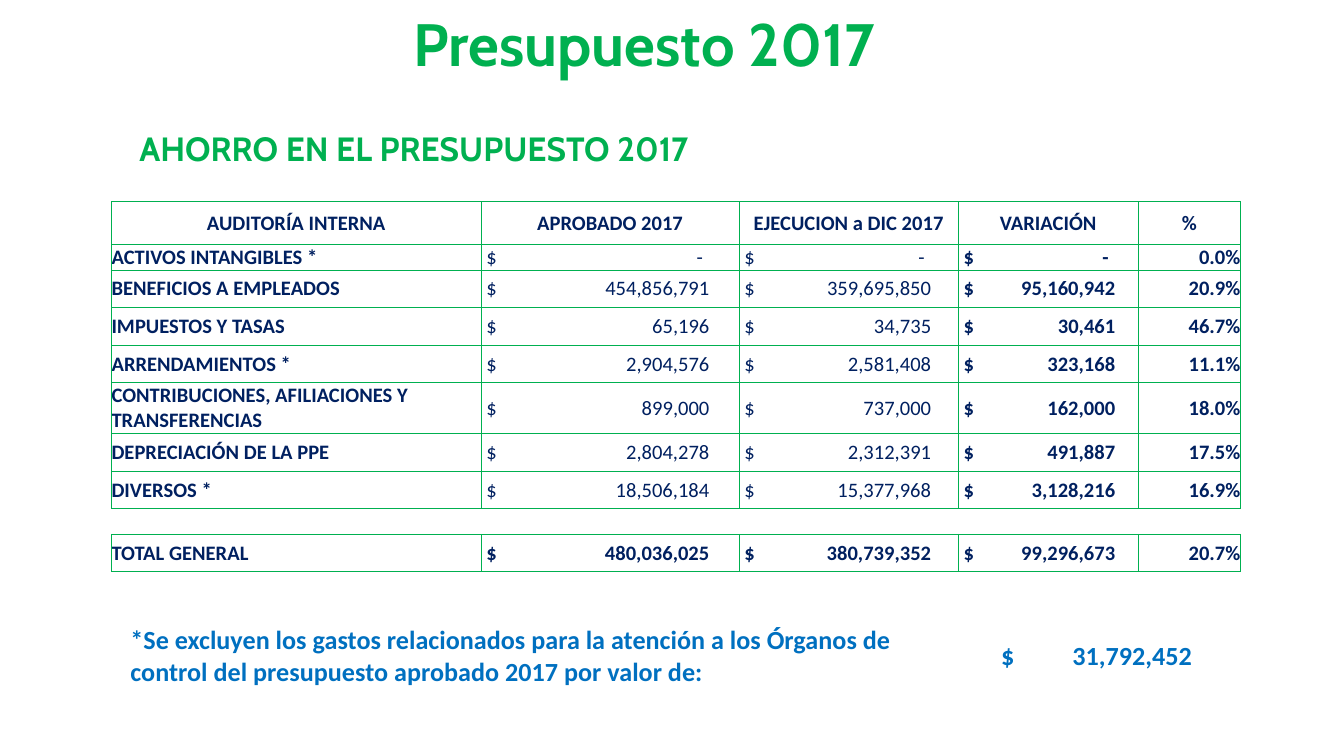
from lxml.etree import SubElement
from pptx import Presentation
from pptx.dml.color import RGBColor
from pptx.enum.text import MSO_ANCHOR as Anchor, MSO_AUTO_SIZE as AutoSize, PP_ALIGN as Align
from pptx.oxml.ns import qn
from pptx.util import Inches, Pt

GREEN = RGBColor(0x00, 0xB0, 0x50)
NAVY = RGBColor(0x00, 0x20, 0x60)
BLUE = RGBColor(0x00, 0x70, 0xC0)
WHITE = RGBColor(0xFF, 0xFF, 0xFF)

TITLE_ONLY = 5
COLUMN_WIDTHS = [2.75, 1.92, 1.63, 1.34, 0.76]
ROW_HEIGHTS = [0.32, 0.16, 0.28, 0.28, 0.28, 0.3, 0.28, 0.28, 0.16, 0.28]
AMOUNT_INDENT = 0.04
AMOUNT_TABS = {1: 1.66, 2: 1.39, 3: 1.13}
DASH_SHIFT = 0.05
VARIATION_COLUMN = 3
PERCENT_COLUMN = 4

HEADERS = ["AUDITORÍA INTERNA", "APROBADO 2017", "EJECUCION a DIC 2017", "VARIACIÓN", "%"]
BUDGET = [
    ["ACTIVOS INTANGIBLES *", "-", "-", "-", "0.0%"],
    ["BENEFICIOS A EMPLEADOS", "454,856,791", "359,695,850", "95,160,942", "20.9%"],
    ["IMPUESTOS Y TASAS", "65,196", "34,735", "30,461", "46.7%"],
    ["ARRENDAMIENTOS *", "2,904,576", "2,581,408", "323,168", "11.1%"],
    ["CONTRIBUCIONES, AFILIACIONES Y TRANSFERENCIAS", "899,000", "737,000", "162,000", "18.0%"],
    ["DEPRECIACIÓN DE LA PPE", "2,804,278", "2,312,391", "491,887", "17.5%"],
    ["DIVERSOS *", "18,506,184", "15,377,968", "3,128,216", "16.9%"],
    None,
    ["TOTAL GENERAL", "480,036,025", "380,739,352", "99,296,673", "20.7%"],
]
EXCLUSION_NOTE = (
    "*Se excluyen los gastos relacionados para la atención a los Órganos de "
    "control del presupuesto aprobado 2017 por valor de:"
)


def write_text(frame, text, *, font="Calibri", size=11, color=NAVY, bold=True,
               align=Align.LEFT, line_spacing=None, tab=None):
    paragraph = frame.paragraphs[0]
    paragraph.alignment = align
    if line_spacing:
        paragraph.line_spacing = line_spacing
    if tab:
        stops = SubElement(paragraph._p.get_or_add_pPr(), qn("a:tabLst"))
        SubElement(stops, qn("a:tab"), pos=str(Inches(tab)), algn="r")
    if not text:
        SubElement(paragraph._p, qn("a:endParaRPr"), sz=str(size * 100))
        return
    run = paragraph.add_run()
    run.text = text
    run.font.name = font
    run.font.size = Pt(size)
    run.font.bold = bold
    run.font.color.rgb = color


class BudgetSlide:
    heading_style = dict(font="Cabin", color=GREEN, align=Align.CENTER, line_spacing=0.85)
    border_color = GREEN
    border_width = Pt(0.5)

    def __init__(self, deck):
        self.slide = deck.slides.add_slide(deck.slide_layouts[TITLE_ONLY])

    def fill_heading(self, box, text, size):
        frame = box.text_frame
        frame.margin_left = frame.margin_right = frame.margin_top = frame.margin_bottom = 0
        frame.word_wrap = True
        frame.auto_size = AutoSize.NONE
        frame.vertical_anchor = Anchor.TOP
        write_text(frame, text, size=size, **self.heading_style)

    def title(self, text, left, top, width, height):
        heading = self.slide.shapes.title
        heading.left, heading.top = Inches(left), Inches(top)
        heading.width, heading.height = Inches(width), Inches(height)
        self.fill_heading(heading, text, 32)

    def subtitle(self, text, left, top, width, height):
        heading = self.slide.shapes.add_textbox(
            Inches(left), Inches(top), Inches(width), Inches(height))
        self.fill_heading(heading, text, 18)

    def table(self, left, top, widths, heights):
        grid = self.slide.shapes.add_table(
            len(heights), len(widths), Inches(left), Inches(top),
            Inches(sum(widths)), Inches(sum(heights))).table
        grid.first_row = grid.horz_banding = False
        for column, width in zip(grid.columns, widths):
            column.width = Inches(width)
        for row, height in zip(grid.rows, heights):
            row.height = Inches(height)
        return grid

    def cell(self, cell, text, *, borders="", indent=0, **text_format):
        cell.margin_left = Inches(indent)
        cell.margin_right = cell.margin_top = cell.margin_bottom = 0
        cell.vertical_anchor = Anchor.MIDDLE
        for side in "LRTB":
            line = SubElement(cell._tc.get_or_add_tcPr(), qn(f"a:ln{side}"),
                              w=str(self.border_width))
            if side in borders:
                paint = SubElement(line, qn("a:solidFill"))
                SubElement(paint, qn("a:srgbClr"), val=str(self.border_color))
            else:
                SubElement(line, qn("a:noFill"))
        cell.fill.solid()
        cell.fill.fore_color.rgb = WHITE
        write_text(cell.text_frame, text, **text_format)

    def budget_table(self, left, top):
        grid = self.table(left, top, COLUMN_WIDTHS, ROW_HEIGHTS)
        for column, header in enumerate(HEADERS):
            self.cell(grid.cell(0, column), header, borders="LRTB", align=Align.CENTER)
        for row, entry in enumerate(BUDGET, start=1):
            is_total = row == len(BUDGET)
            for column in range(len(HEADERS)):
                cell = grid.cell(row, column)
                if entry is None:
                    self.cell(cell, "", borders="TB")
                elif column in AMOUNT_TABS:
                    shift = DASH_SHIFT if entry[column] == "-" else 0
                    self.cell(cell, f"$\t{entry[column]}", borders="LRTB",
                              indent=AMOUNT_INDENT, tab=AMOUNT_TABS[column] - shift,
                              bold=is_total or column == VARIATION_COLUMN)
                else:
                    align = Align.RIGHT if column == PERCENT_COLUMN else Align.LEFT
                    self.cell(cell, entry[column], borders="LRTB", align=align)

    def exclusion_table(self, left, top):
        grid = self.table(left, top, [6.14, 2.09], [0.53])
        self.cell(grid.cell(0, 0), EXCLUSION_NOTE, size=14, color=BLUE)
        self.cell(grid.cell(0, 1), "$\t31,792,452", size=14, color=BLUE, indent=0.34, tab=1.42)


def main():
    deck = Presentation()
    deck.slide_width = Inches(10)
    deck.slide_height = deck.slide_width * 9 // 16
    page = BudgetSlide(deck)
    page.title("Presupuesto 2017", 1.64, 0.13, 6.31, 0.4)
    page.budget_table(0.83, 1.5)
    page.subtitle("AHORRO EN EL PRESUPUESTO 2017", 0.46, 1, 5.24, 0.4)
    page.exclusion_table(0.97, 4.62)
    deck.save("out.pptx")


if __name__ == "__main__":
    main()
